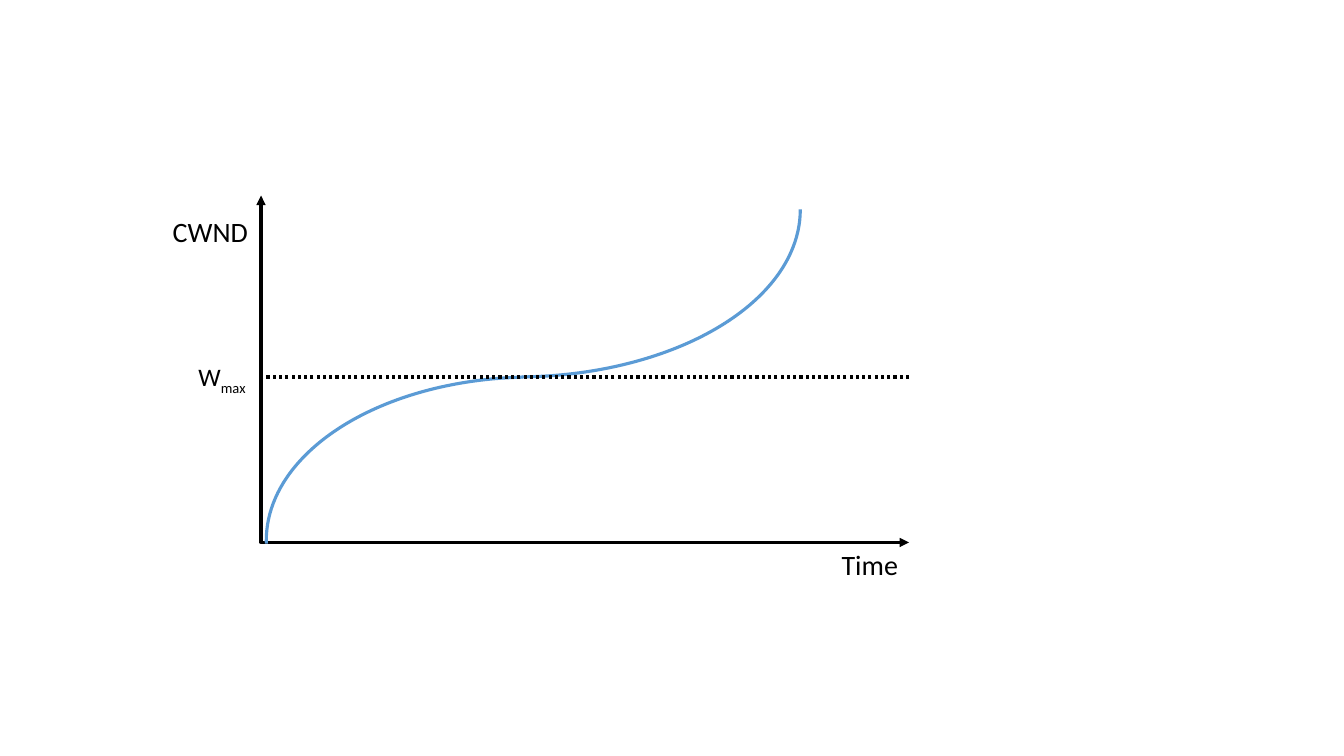
from lxml import etree
from pptx import Presentation
from pptx.dml.color import RGBColor
from pptx.enum.dml import MSO_LINE
from pptx.enum.shapes import MSO_CONNECTOR, MSO_SHAPE
from pptx.enum.text import MSO_AUTO_SIZE, PP_ALIGN
from pptx.oxml.ns import qn
from pptx.util import Cm, Pt

ELBOW, LINE = MSO_CONNECTOR.ELBOW, MSO_CONNECTOR.STRAIGHT
ARC, DOT = MSO_SHAPE.ARC, MSO_LINE.ROUND_DOT
LEFT, RIGHT = PP_ALIGN.LEFT, PP_ALIGN.RIGHT
GROW = MSO_AUTO_SIZE.SHAPE_TO_FIT_TEXT
COLORS = {"ink": "000000", "curve": "5B9BD5"}

deck = Presentation()
deck.slide_width, deck.slide_height = Cm(33.87), Cm(19.05)
slide = deck.slides.add_slide(deck.slide_layouts[6])
shapes = slide.shapes


def style(line, color):
    line.color.rgb = RGBColor.from_string(COLORS[color])
    line.width = Pt(2.25)


def connect(kind, x1, y1, x2, y2):
    link = shapes.add_connector(kind, Cm(x1), Cm(y1), Cm(x2), Cm(y2))
    style(link.line, "ink")
    etree.SubElement(link._element.spPr, qn("a:effectLst"))
    return link


left, top, right, base, level = 6.58, 4.93, 22.91, 13.67, 9.5

axes = connect(ELBOW, left, top, right, base)
guides = axes._element.spPr.find(qn("a:prstGeom")).get_or_add_avLst()
etree.SubElement(guides, qn("a:gd"), name="adj1", fmla="val 0")
for end in ("a:headEnd", "a:tailEnd"):
    etree.SubElement(axes.line._get_or_add_ln(), qn(end), type="triangle")

curves = [
    (6.71, level, 13.44, 8.23, 180, 215.56, 51.9),
    (5.87, level - 8.43, 14.3, 8.43, 0, 215.98, 52.97),
]
for x, y, wide, high, turn, start, stop in curves:
    arc = shapes.add_shape(ARC, Cm(x), Cm(y), Cm(wide), Cm(high))
    arc.adjustments[0], arc.adjustments[1] = start, stop
    arc.rotation = turn
    arc.shadow.inherit = False
    arc.fill.background()
    style(arc.line, "curve")

limit = connect(LINE, right, level, left, level)
limit.line.dash_style = DOT

labels = [
    (20.96, base, 1.96, 1.12, "Time", "", 20, LEFT),
    (4.09, 5.28, 2.41, 1.12, "CWND", "", 20, RIGHT),
    (4.75, 8.99, 1.8, 1.02, "W", "max", 18, LEFT),
]
for x, y, wide, high, text, sub, size, align in labels:
    frame = shapes.add_textbox(Cm(x), Cm(y), Cm(wide), Cm(high)).text_frame
    frame.word_wrap = False
    frame.auto_size = GROW
    para = frame.paragraphs[0]
    para.alignment = align
    para.font.name = "Calibri"
    para.font.size = Pt(size)
    para.font.color.rgb = RGBColor.from_string(COLORS["ink"])
    para.add_run().text = text
    if sub:
        run = para.add_run()
        run.text = sub
        run._r.get_or_add_rPr().set("baseline", "-25000")

deck.save("out.pptx")
